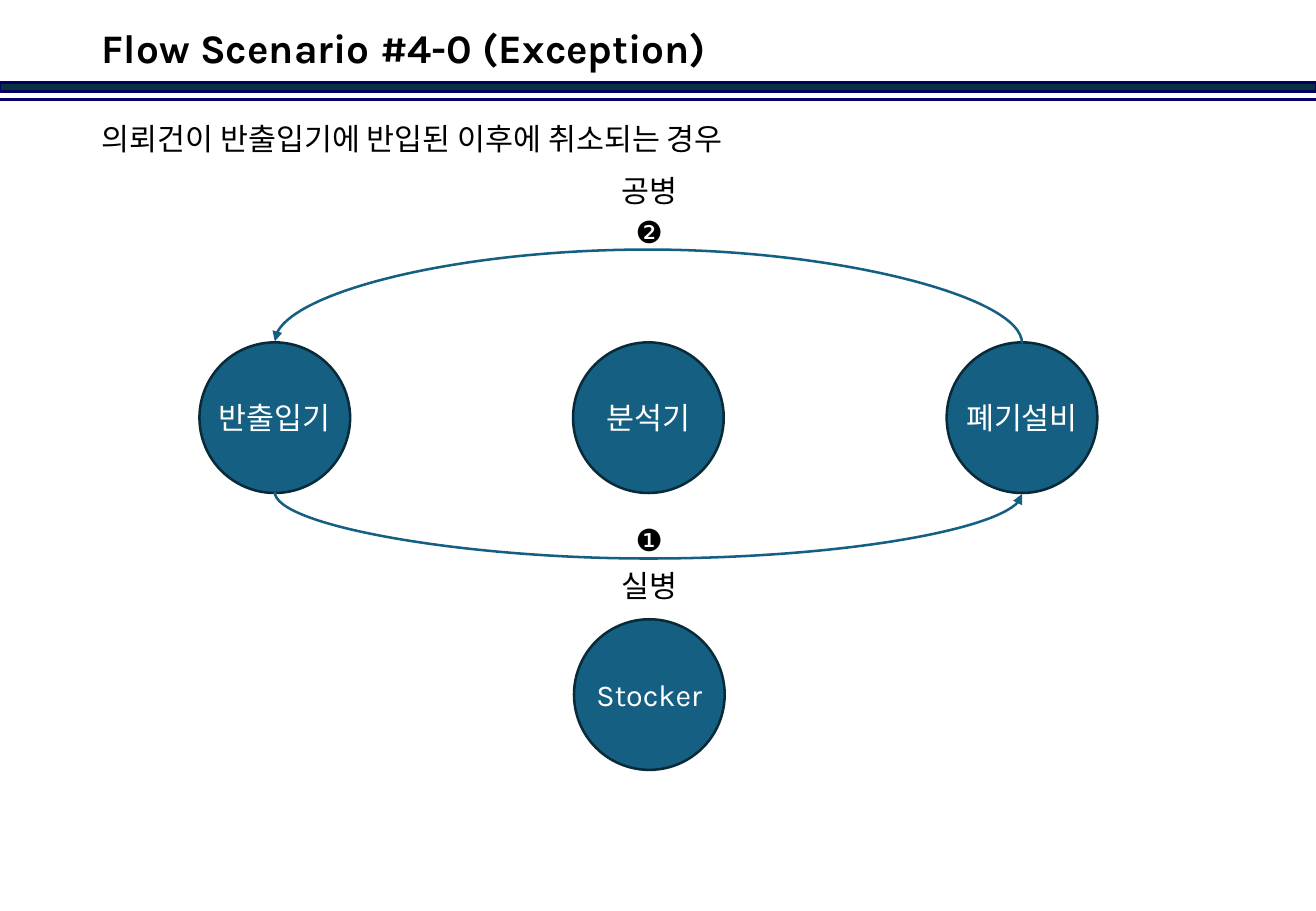
from pptx import Presentation
from pptx import util as u
from pptx.dml.color import RGBColor
from pptx.enum import shapes, text
from pptx.oxml.ns import qn
from lxml import etree

BLACK = RGBColor(0x00, 0x00, 0x00)
WHITE = RGBColor(0xFF, 0xFF, 0xFF)
NAVY = RGBColor(0x00, 0x00, 0x66)
BAR = RGBColor(0x0B, 0x30, 0x41)
TEAL = RGBColor(0x15, 0x60, 0x82)
DARK_TEAL = RGBColor(0x09, 0x2A, 0x39)

FONT = "Karla"
WIDTH, HEIGHT = 27.51, 19.05
DIAMETER = 3.15
ROW_LEFT, ROW_TOP, ROW_STEP = 4.17, 7.16, 7.81
TOP_SITE, BOTTOM_SITE = 0, 4
ARC_SPAN = 0.04  # thickness of a curve's frame before its quarter turn


def add_run(p, words, color, size=18, bold=False):
    r = p.add_run()
    r.text = words
    r.font.name = FONT
    r.font.size = u.Pt(size)
    r.font.bold = bold
    r.font.color.rgb = color


def add_label(s, words, left, top, width, height=1.02, size=18, bold=False,
              align=text.PP_ALIGN.LEFT, wrap=False):
    sp = s.shapes.add_textbox(u.Cm(left), u.Cm(top), u.Cm(width), u.Cm(height))
    tf = sp.text_frame
    tf.word_wrap = wrap
    tf.vertical_anchor = text.MSO_ANCHOR.MIDDLE
    p = tf.paragraphs[0]
    p.alignment = align
    add_run(p, words, BLACK, size, bold)
    return p


def add_block(s, kind, left, top, width, height, fill, line):
    sp = s.shapes.add_shape(kind, u.Cm(left), u.Cm(top), u.Cm(width), u.Cm(height))
    sp.shadow.inherit = False
    sp.fill.solid()
    sp.fill.fore_color.rgb = fill
    sp.line.color.rgb = line
    sp.line.width = u.Pt(1.5)
    return sp


def add_station(s, words, left, top):
    sp = add_block(s, shapes.MSO_SHAPE.OVAL, left, top, DIAMETER, DIAMETER,
                   TEAL, DARK_TEAL)
    tf = sp.text_frame
    tf.word_wrap = False
    tf.vertical_anchor = text.MSO_ANCHOR.MIDDLE
    p = tf.paragraphs[0]
    p.alignment = text.PP_ALIGN.CENTER
    add_run(p, words, WHITE)
    return sp


def add_line(s, kind, x1, y1, x2, y2, color):
    c = s.shapes.add_connector(kind, u.Cm(x1), u.Cm(y1), u.Cm(x2), u.Cm(y2))
    c.line.color.rgb = color
    c.line.width = u.Pt(1.5)
    etree.SubElement(c._element.spPr, qn("a:effectLst"))
    return c


def add_arc(s, start, end, site, y, depth, flip):
    """Curved arrow between the same site of two stations, bulging by depth."""
    c = add_line(s, shapes.MSO_CONNECTOR.CURVE, 0, 0, 1, 1, TEAL)
    # Glue: an ellipse has eight sites, begin_connect places only the first four
    c.begin_connect(start, TOP_SITE)
    c.end_connect(end, TOP_SITE)
    for glue in c._element.iter(qn("a:stCxn"), qn("a:endCxn")):
        glue.set("idx", str(site))
    # Frame
    span = 2 * ROW_STEP
    middle = ROW_LEFT + ROW_STEP + DIAMETER / 2
    c.left, c.top = u.Cm(middle - ARC_SPAN / 2), u.Cm(y - span / 2)
    c.width, c.height = u.Cm(ARC_SPAN), u.Cm(span)
    # Quarter turn and mirroring
    xfrm = c._element.spPr.find(qn("a:xfrm"))
    xfrm.set("rot", str(270 * 60000))
    for name in ("flipH", "flipV"):
        xfrm.set(name, "1" if name == flip else "0")
    # Bulge
    guides = c._element.spPr.find(qn("a:prstGeom")).find(qn("a:avLst"))
    etree.SubElement(guides, qn("a:gd"), name="adj1",
                     fmla=f"val {round(depth / ARC_SPAN * 100000)}")
    # Arrowhead
    etree.SubElement(c.get_or_add_ln(), qn("a:tailEnd"), type="triangle")


def main():
    prs = Presentation()
    prs.slide_width, prs.slide_height = u.Cm(WIDTH), u.Cm(HEIGHT)
    s = prs.slides.add_slide(prs.slide_layouts[6])

    # Header
    add_block(s, shapes.MSO_SHAPE.RECTANGLE, 0, 1.73, WIDTH, 0.18, BAR, NAVY)
    add_line(s, shapes.MSO_CONNECTOR.STRAIGHT, 0, 2.08, WIDTH, 2.08, NAVY)
    title = add_label(s, "Flow Scenario #4-0 (Exception)", 1.88, 0.38, 16.94,
                      1.35, size=24, bold=True, wrap=True)
    title.line_spacing = 0.9
    add_label(s, "의뢰건이 반출입기에 반입된 이후에 취소되는 경우", 1.88, 2.39, 14.63)

    # Stations
    port, _, disposal = [
        add_station(s, words, ROW_LEFT + i * ROW_STEP, ROW_TOP)
        for i, words in enumerate(("반출입기", "분석기", "폐기설비"))]
    add_station(s, "Stocker", 12, 12.95)

    # Flows
    add_arc(s, disposal, port, TOP_SITE, ROW_TOP, 1.96, "flipV")
    add_arc(s, port, disposal, BOTTOM_SITE, ROW_TOP + DIAMETER, 1.39, "flipH")

    # Flow labels
    for words, top in (("공병", 3.48), ("❷", 4.32), ("❶", 10.77), ("실병", 11.73)):
        add_label(s, words, 12.67, top, 1.8, align=text.PP_ALIGN.CENTER)

    prs.save("out.pptx")


if __name__ == "__main__":
    main()
